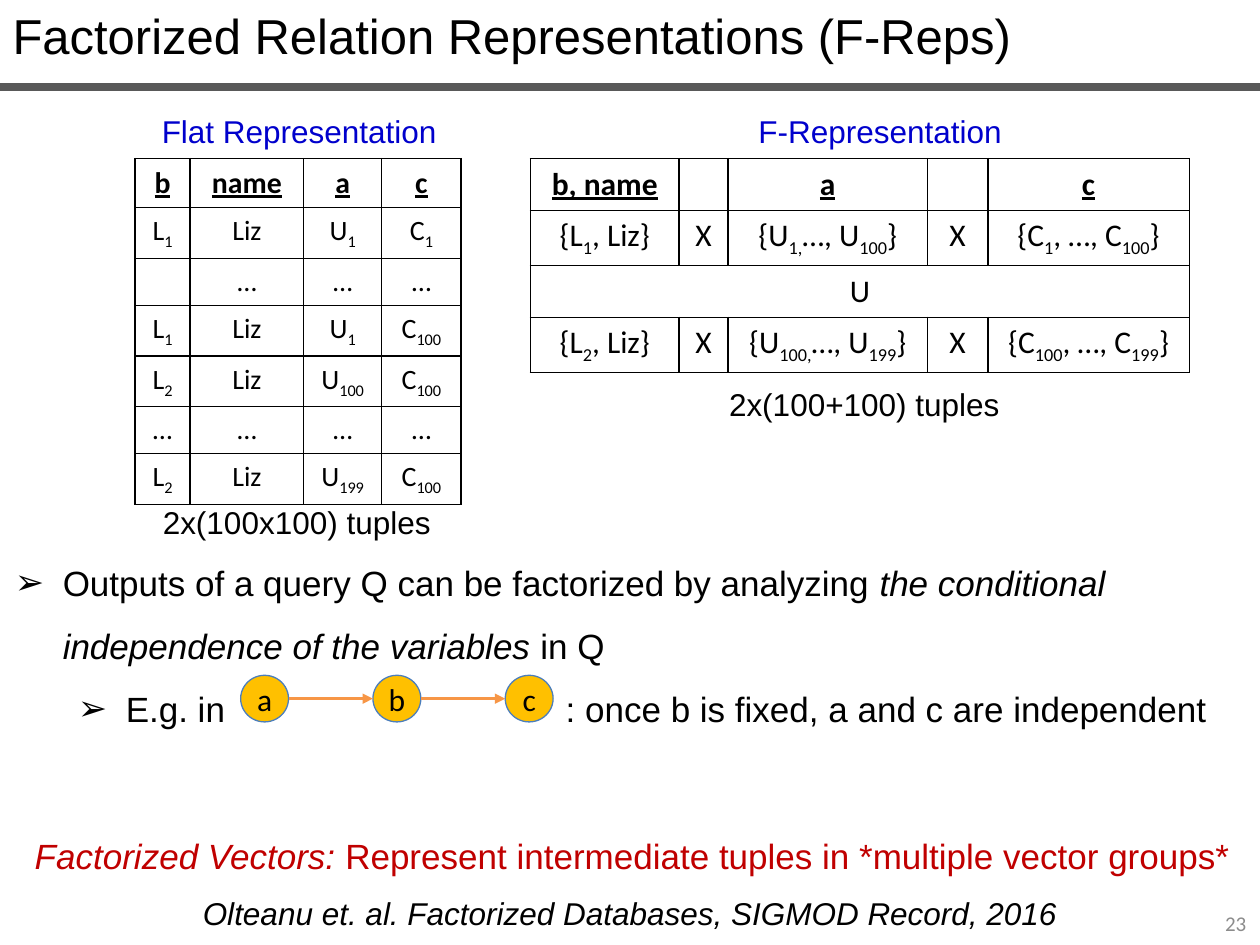
from dataclasses import dataclass

import pptx
import pptx.dml.color
import pptx.enum.shapes
import pptx.enum.text
import pptx.oxml.ns
import pptx.util
from lxml import etree

Inches = pptx.util.Inches
Pt = pptx.util.Pt
RGBColor = pptx.dml.color.RGBColor
Align = pptx.enum.text.PP_ALIGN
Anchor = pptx.enum.text.MSO_ANCHOR
qn = pptx.oxml.ns.qn

BLACK = RGBColor(0x00, 0x00, 0x00)
BLUE = RGBColor(0x00, 0x00, 0xCC)
RED = RGBColor(0xC0, 0x00, 0x00)
RULE_GRAY = RGBColor(0x59, 0x59, 0x59)
NUMBER_GRAY = RGBColor(0x8C, 0x8C, 0x8C)
NODE_FILL = RGBColor(0xFF, 0xC0, 0x00)
NODE_LINE = RGBColor(0x4B, 0x7E, 0xBC)
EDGE_ORANGE = RGBColor(0xF7, 0x96, 0x46)


@dataclass
class Label:
    box: tuple[float, float, float, float]
    runs: list[tuple[str, bool]]  # text, italic
    size: int = 18
    color: RGBColor = BLACK
    font: str = "Arial"
    align: Align = Align.CENTER
    line_spacing: float = 1.5


@dataclass
class Grid:
    left: float
    top: float
    columns: list[float]
    row_height: float
    header_size: int
    body_size: int
    rows: list[list[str]]  # text between tildes is subscript


LABELS = [
    Label((1.09, 0.69, 2.57, 0.5), [("Flat Representation", False)], color=BLUE),
    Label((5.7, 0.69, 2.57, 0.5), [("F-Representation", False)], color=BLUE),
    Label((1.07, 3.79, 2.57, 0.5), [("2x(100x100) tuples", False)]),
    Label((5.03, 2.86, 3.66, 0.5), [("2x(100+100) tuples", False)]),
    Label((0.02, 6.41, 10, 0.54),
          [("Factorized Vectors: ", True),
           ("Represent intermediate tuples in *multiple vector groups*", False)],
          size=20, color=RED),
    Label((0.86, 6.9, 8.28, 0.5),
          [("Olteanu et. al. Factorized Databases, SIGMOD Record, 2016", True)]),
    Label((7.66, 7.13, 2.33, 0.4), [("23", False)], size=12, color=NUMBER_GRAY,
          font="Calibri", align=Align.RIGHT, line_spacing=1.0),
]

FLAT_TABLE = Grid(1.07, 1.26, [0.44, 0.9, 0.62, 0.63], 0.32, 17, 16, [
    ["b", "name", "a", "c"],
    ["L~1~", "Liz", "U~1~", "C~1~"],
    ["", "…", "…", "…"],
    ["L~1~", "Liz", "U~1~", "C~100~"],
    ["L~2~", "Liz", "U~100~", "C~100~"],
    ["…", "…", "…", "…"],
    ["L~2~", "Liz", "U~199~", "C~100~"],
])
FACTORIZED_TABLE = Grid(4.21, 1.26, [1.18, 0.39, 1.58, 0.48, 1.6], 0.41, 18, 18, [
    ["b, name", "", "a", "", "c"],
    ["{L~1~, Liz}", "X", "{U~1,~…, U~100~}", "X", "{C~1~, …, C~100~}"],
    ["U", "", "", "", ""],
    ["{L~2~, Liz}", "X", "{U~100,~…, U~199~}", "X", "{C~100~, …, C~199~}"],
])


def add_run(paragraph, text: str, color: RGBColor = BLACK, **formats):
    run = paragraph.add_run()
    run.text = text
    for name, value in formats.items():
        setattr(run.font, name, value)
    run.font.color.rgb = color
    return run


def add_text_box(slide, box: tuple[float, float, float, float]):
    frame = slide.shapes.add_textbox(*map(Inches, box)).text_frame
    frame.word_wrap = True
    return frame


def add_label(slide, label: Label) -> None:
    frame = add_text_box(slide, label.box)
    if label.font == "Calibri":
        frame.vertical_anchor = Anchor.MIDDLE
    paragraph = frame.paragraphs[0]
    paragraph.alignment = label.align
    paragraph.line_spacing = label.line_spacing
    for text, italic in label.runs:
        add_run(paragraph, text, label.color, name=label.font,
                size=Pt(label.size), italic=italic)


def add_line(shapes, start: tuple[float, float], end: tuple[float, float],
             color: RGBColor, width: float, arrow: bool = False) -> None:
    line = shapes.add_connector(pptx.enum.shapes.MSO_CONNECTOR.STRAIGHT,
                                *map(Inches, start + end))
    line.line.color.rgb = color
    line.line.width = Pt(width)
    if arrow:
        etree.SubElement(line.line._get_or_add_ln(), qn("a:tailEnd"), type="triangle")
    etree.SubElement(line._element.spPr, qn("a:effectLst"))


def add_borders(cell) -> None:
    properties = cell._tc.get_or_add_tcPr()
    for position, side in enumerate(("a:lnL", "a:lnR", "a:lnT", "a:lnB")):
        border = etree.Element(qn(side), w=str(Pt(1)))
        fill = etree.SubElement(border, qn("a:solidFill"))
        etree.SubElement(fill, qn("a:srgbClr"), val=str(BLACK))
        properties.insert(position, border)


def fill_cell(cell, text: str, size: int, header: bool) -> None:
    cell.fill.background()
    add_borders(cell)
    paragraph = cell.text_frame.paragraphs[0]
    paragraph.alignment = Align.CENTER
    if not text:
        etree.SubElement(paragraph._p, qn("a:endParaRPr"), sz=str(size * 100))
        return
    for index, part in enumerate(text.split("~")):
        if part:
            run = add_run(paragraph, part, name="Calibri", size=Pt(size),
                          bold=header, underline=header)
            if index % 2:
                run.font._element.set("baseline", "-25000")


def add_grid(slide, grid: Grid):
    row_count, column_count = len(grid.rows), len(grid.columns)
    table = slide.shapes.add_table(
        row_count, column_count, Inches(grid.left), Inches(grid.top),
        Inches(sum(grid.columns)), Inches(grid.row_height * row_count)).table
    table.first_row = table.horz_banding = False
    for column, width in zip(table.columns, grid.columns):
        column.width = Inches(width)
    for row_index, row in enumerate(grid.rows):
        header = row_index == 0
        size = grid.header_size if header else grid.body_size
        for column_index, text in enumerate(row):
            fill_cell(table.cell(row_index, column_index), text, size, header)
    return table


def add_bullet(paragraph, level: int, indent: float) -> None:
    paragraph.level = level
    properties = paragraph._p.get_or_add_pPr()
    properties.set("marL", str(Inches(indent)))
    properties.set("indent", str(Inches(-0.38)))
    etree.SubElement(properties, qn("a:buFont"), typeface="Arial")
    etree.SubElement(properties, qn("a:buChar"), char="➢")
    paragraph.line_spacing = 1.5


def add_bullets(slide) -> None:
    frame = add_text_box(slide, (0.02, 4.24, 9.9, 1.55))
    formats = {"name": "Arial", "size": Pt(20)}
    outputs = frame.paragraphs[0]
    add_bullet(outputs, 0, 0.38)
    add_run(outputs, "Outputs of a query Q can be factorized by analyzing ", **formats)
    add_run(outputs, "the conditional independence of the variables", italic=True, **formats)
    add_run(outputs, " in Q", **formats)
    example = frame.add_paragraph()
    add_bullet(example, 1, 0.88)
    add_run(example, "E.g. in", **formats)
    # One widely spaced blank leaves room for the chain of nodes.
    add_run(example, " ", **formats).font._element.set("spc", "18900")
    add_run(example, ": once b is fixed, a and c are independent", **formats)


def add_chain(slide, names: str) -> None:
    """Draw the variables as circles joined by arrows."""
    left, top, width, height, step = 1.91, 5.36, 0.38, 0.37, 1.05
    shapes = slide.shapes.add_group_shape().shapes
    for index, name in enumerate(names):
        x = left + index * step
        node = shapes.add_shape(pptx.enum.shapes.MSO_SHAPE.OVAL,
                                *map(Inches, (x, top, width, height)))
        node.shadow.inherit = False
        node.fill.solid()
        node.fill.fore_color.rgb = NODE_FILL
        node.line.color.rgb = NODE_LINE
        node.line.width = Pt(0.75)
        frame = node.text_frame
        for side in ("left", "right", "top", "bottom"):
            setattr(frame, f"margin_{side}", 0)
        frame.vertical_anchor = Anchor.MIDDLE
        frame.paragraphs[0].alignment = Align.CENTER
        add_run(frame.paragraphs[0], name, name="Calibri", size=Pt(18))
        if index:
            middle = top + height / 2
            add_line(shapes, (x - step + width, middle), (x, middle), EDGE_ORANGE, 1.5, True)


def add_title(slide, text: str) -> None:
    title = slide.shapes.title
    title.left, title.top, title.width, title.height = map(Inches, (0, -0.01, 9.5, 0.57))
    title.text_frame.vertical_anchor = Anchor.TOP
    paragraph = title.text_frame.paragraphs[0]
    paragraph.alignment = Align.LEFT
    add_run(paragraph, text, name="Arial", size=Pt(28))


def main() -> None:
    presentation = pptx.Presentation()
    presentation.slide_width, presentation.slide_height = Inches(10), Inches(7.5)
    slide = presentation.slides.add_slide(presentation.slide_layouts[5])
    add_title(slide, "Factorized Relation Representations (F-Reps)")
    add_line(slide.shapes, (0, 0.69), (10, 0.69), RULE_GRAY, 4.5)
    factorized = add_grid(slide, FACTORIZED_TABLE)
    factorized.cell(2, 0).merge(factorized.cell(2, 4))
    add_grid(slide, FLAT_TABLE)
    add_bullets(slide)
    add_chain(slide, "abc")
    for label in LABELS:
        add_label(slide, label)
    presentation.save("out.pptx")


if __name__ == "__main__":
    main()
